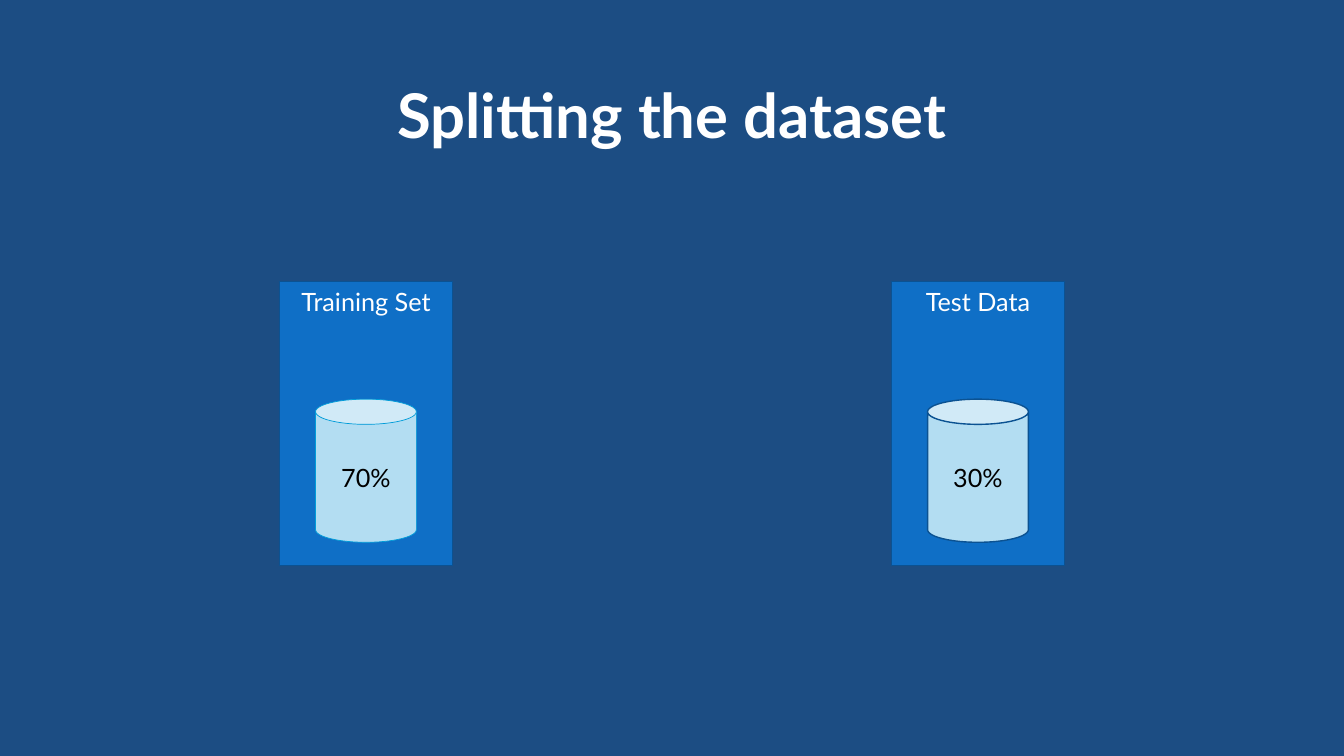
from pptx import Presentation
from pptx.dml.color import RGBColor
from pptx.enum.shapes import MSO_SHAPE
from pptx.enum.text import MSO_ANCHOR, PP_ALIGN
from pptx.util import Inches, Pt

RECT, CAN = MSO_SHAPE.RECTANGLE, MSO_SHAPE.CAN
TOP, MIDDLE = MSO_ANCHOR.TOP, MSO_ANCHOR.MIDDLE
CENTER = PP_ALIGN.CENTER

# Content: label, share, colour and width of the cylinder outline
TITLE = "Splitting the dataset"
SUBSETS = [
    ("Training Set", "70%", "cyan", 0.5),
    ("Test Data", "30%", "edge", 1),
]
COLORS = {
    "background": "1C4D83",
    "panel": "0F6FC6",
    "edge": "0B5292",
    "cylinder": "B3DDF2",
    "cyan": "009DD9",
    "white": "FFFFFF",
    "black": "000000",
}
FONT = "Lato"

# Layout in inches: two panels mirrored about the slide's centre
SLIDE_W, SLIDE_H = 13.33, 7.5
PANEL_TOP, PANEL_W, PANEL_H = 2.79, 1.72, 2.82
CYLINDER_TOP, CYLINDER_W, CYLINDER_H = 3.96, 1, 1.42
FIRST_CENTER = 3.63
CENTERS = [FIRST_CENTER, SLIDE_W - FIRST_CENTER]
TITLE_TOP, TITLE_W, TITLE_H = 0.4, 11.5, 1.45


def color(name):
    return RGBColor.from_string(COLORS[name])


def place(shape, center, top, width, height):
    shape.left, shape.top = Inches(center - width / 2), Inches(top)
    shape.width, shape.height = Inches(width), Inches(height)


def write(shape, text, size, ink, anchor, bold=False):
    frame = shape.text_frame
    frame.word_wrap = True
    frame.vertical_anchor = anchor
    paragraph = frame.paragraphs[0]
    paragraph.alignment = CENTER
    run = paragraph.add_run()
    run.text = text
    run.font.name, run.font.size, run.font.bold = FONT, Pt(size), bold
    run.font.color.rgb = color(ink)


def add_box(slide, kind, box, fill, edge, edge_width):
    shape = slide.shapes.add_shape(kind, 0, 0, 0, 0)
    place(shape, *box)
    shape.shadow.inherit = False
    shape.fill.solid()
    shape.fill.fore_color.rgb = color(fill)
    shape.line.color.rgb = color(edge)
    shape.line.width = Pt(edge_width)
    return shape


def main():
    deck = Presentation()
    deck.slide_width, deck.slide_height = Inches(SLIDE_W), Inches(SLIDE_H)
    slide = deck.slides.add_slide(deck.slide_layouts.get_by_name("Title Only"))
    slide.background.fill.solid()
    slide.background.fill.fore_color.rgb = color("background")

    # Title
    title = slide.shapes.title
    place(title, SLIDE_W / 2, TITLE_TOP, TITLE_W, TITLE_H)
    write(title, TITLE, 44, "white", MIDDLE, bold=True)

    # One panel with a cylinder per subset
    for center, (label, share, outline, outline_width) in zip(CENTERS, SUBSETS):
        panel = add_box(slide, RECT, (center, PANEL_TOP, PANEL_W, PANEL_H),
                        "panel", "edge", 1)
        write(panel, label, 18, "white", TOP)
        cylinder = add_box(slide, CAN,
                           (center, CYLINDER_TOP, CYLINDER_W, CYLINDER_H),
                           "cylinder", outline, outline_width)
        write(cylinder, share, 18, "black", MIDDLE)

    deck.save("out.pptx")


if __name__ == "__main__":
    main()
